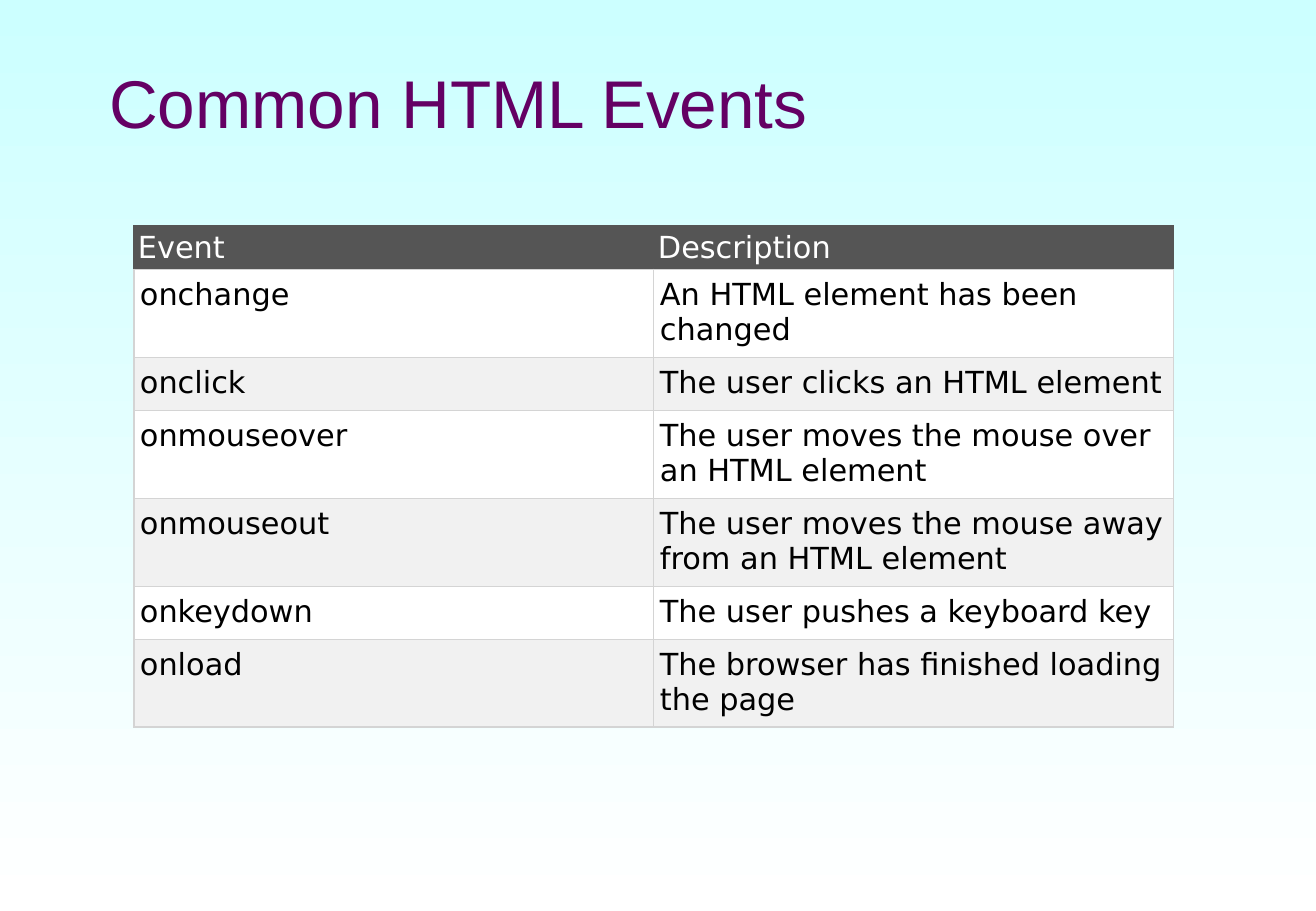
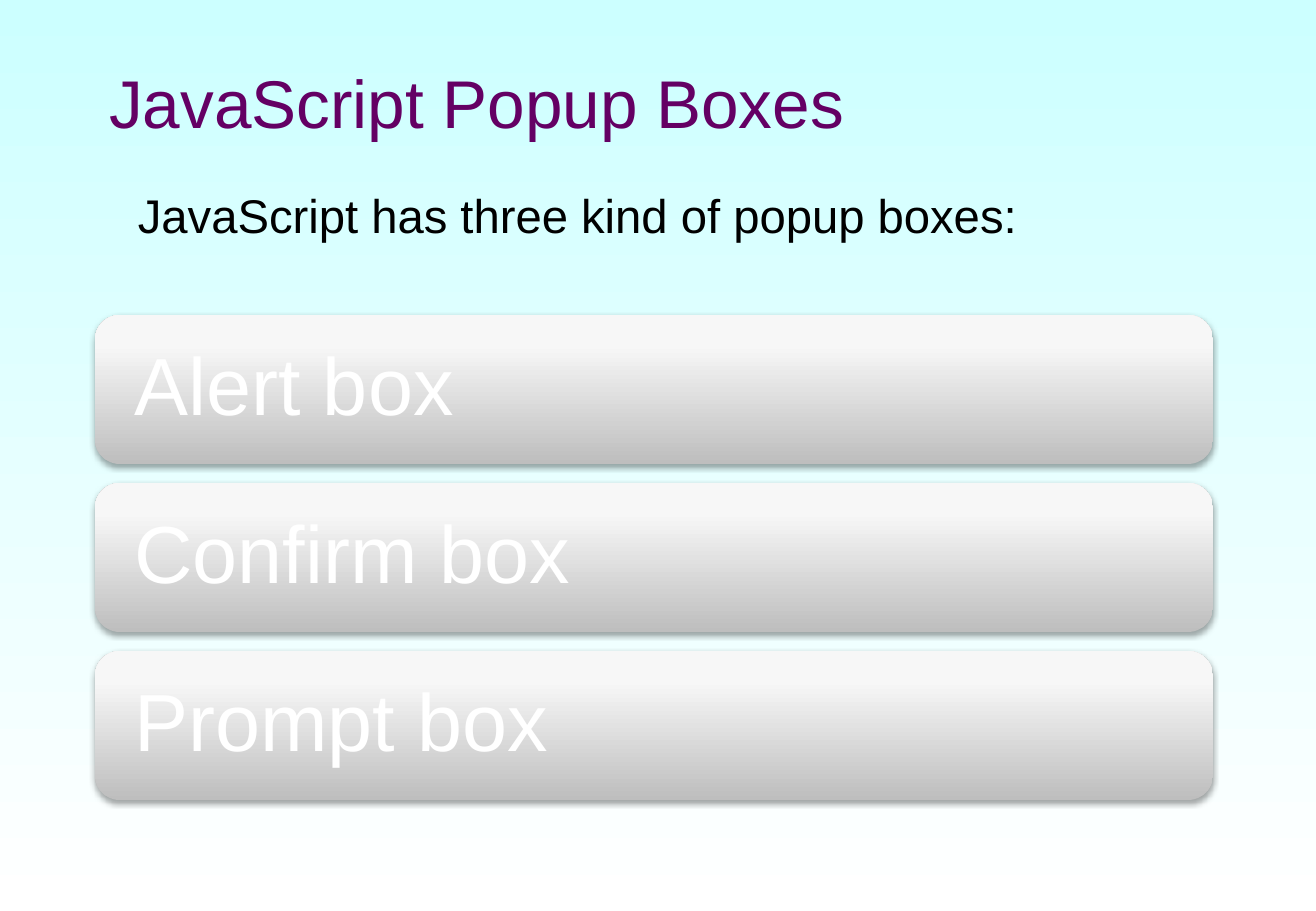
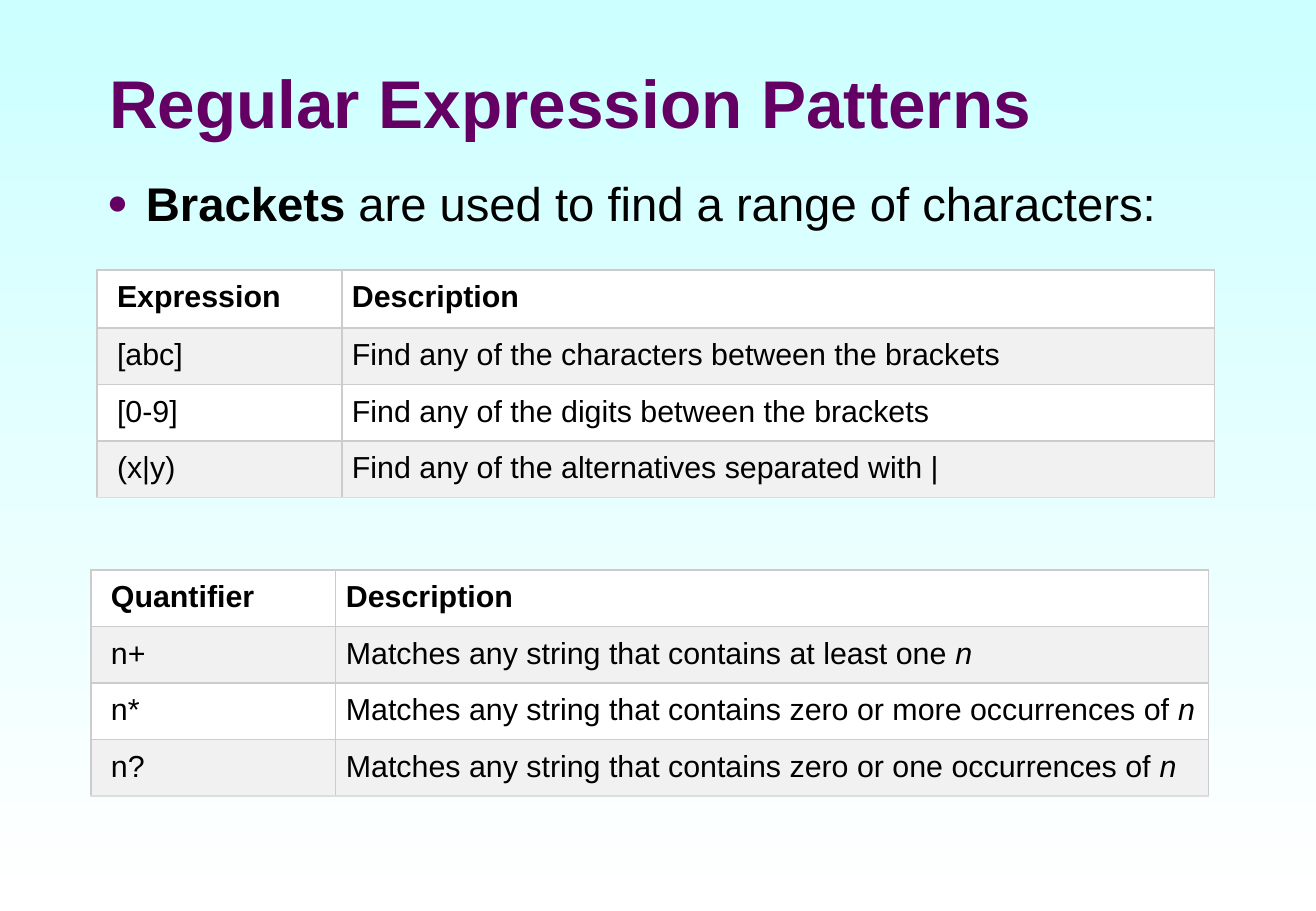
from copy import deepcopy
from dataclasses import dataclass

from lxml.etree import SubElement
from pptx import Presentation
from pptx.dml.color import RGBColor
from pptx.enum.shapes import MSO_SHAPE as SHAPE
from pptx.enum.text import MSO_ANCHOR as ANCHOR, MSO_AUTO_SIZE as FIT, PP_ALIGN as ALIGN
from pptx.oxml.ns import qn
from pptx.util import Pt

PX = 7526  # EMU per px, 121.5 px to the inch


@dataclass(frozen=True)
class Theme:
    font: str = "Arial"
    wide_font: str = "DejaVu Sans"
    title: str = "640064"
    text: str = "000000"
    white: str = "FFFFFF"
    band: str = "F1F1F1"
    header: str = "555555"
    sky: tuple = ((0, "CCFFFF"), (1, "FFFFFF"))
    silver: tuple = ((0, "BEBEBE"), (0.8, "F7F7F7"), (1, "F8F8F8"))
    title_size: Pt = Pt(40)
    box_size: Pt = Pt(48)
    lead_size: Pt = Pt(28)
    table_size: Pt = Pt(18)


T = Theme()


def gradient(fill, element, angle, stops):
    """Fill with (position, colour) stops; the angle runs counter-clockwise."""
    fill.gradient()
    fill.gradient_angle = angle
    gs_list = element.find(".//" + qn("a:gsLst"))
    while len(gs_list) < len(stops):
        gs_list.append(deepcopy(gs_list[0]))
    for stop, (position, color) in zip(fill.gradient_stops, stops):
        stop.position = position
        stop.color.rgb = RGBColor.from_string(color)


def write(p, text, color, **fmt):
    r = p.add_run()
    r.text = text
    r.font.color.rgb = RGBColor.from_string(color)
    for name, value in {"name": T.font, **fmt}.items():
        setattr(r.font, name, value)


prs = Presentation()
prs.slide_width, prs.slide_height = 1316 * PX, 911 * PX
master = prs.slide_master
gradient(master.background.fill, master.element, 270, T.sky)

# Slides and titles
slides = []
for title, bold in (
    ("Common HTML Events", False),
    ("JavaScript Popup Boxes", False),
    ("Regular Expression Patterns", True),
):
    s = prs.slides.add_slide(prs.slide_layouts[5])
    sp = s.shapes.title
    sp.left, sp.top, sp.width, sp.height = (v * PX for v in (97, 51, 1115, 100))
    tf = sp.text_frame
    tf.auto_size, tf.vertical_anchor = FIT.NONE, ANCHOR.MIDDLE
    p = tf.paragraphs[0]
    p.alignment = ALIGN.LEFT
    write(p, title, T.title, size=T.title_size, bold=bold)
    slides.append(s)
events, popups, patterns = slides

# Popup boxes
for i, label in enumerate(("Alert box", "Confirm box", "Prompt box")):
    sp = popups.shapes.add_shape(
        SHAPE.ROUNDED_RECTANGLE, 95 * PX, (315 + 168 * i) * PX, 1118 * PX, 149 * PX)
    gradient(sp.fill, sp.element, 90, T.silver)
    sp.line.fill.background()
    sp.shadow.inherit = False
    shadow = SubElement(sp.element.spPr.find(qn("a:effectLst")), qn("a:outerShdw"),
                        blurRad="40000", dist="23000", dir="5400000", rotWithShape="0")
    tint = SubElement(shadow, qn("a:srgbClr"), val=T.text)
    SubElement(tint, qn("a:alpha"), val="35000")
    tf = sp.text_frame
    tf.word_wrap, tf.vertical_anchor = True, ANCHOR.MIDDLE
    tf.margin_left = tf.margin_right = 32 * PX
    p = tf.paragraphs[0]
    p.alignment, p.line_spacing = ALIGN.LEFT, 0.9
    write(p, label, T.white, size=T.box_size)

# Lead lines
for s, box, bullet, runs in (
    (popups, (126, 180, 978, 69), False,
     [("JavaScript has three kind of popup boxes:", False)]),
    (patterns, (95, 168, 1118, 87), True,
     [("Brackets", True), (" are used to find a range of characters:", False)]),
):
    tf = s.shapes.add_textbox(*(v * PX for v in box)).text_frame
    tf.word_wrap = True
    p = tf.paragraphs[0]
    if bullet:
        pPr = p._p.get_or_add_pPr()
        pPr.set("marL", str(39 * PX))
        pPr.set("indent", str(-39 * PX))
        SubElement(SubElement(pPr, qn("a:buClr")), qn("a:srgbClr"), val=T.title)
        SubElement(pPr, qn("a:buSzPct"), val="75000")
        SubElement(pPr, qn("a:buFont"), typeface=T.font)
        SubElement(pPr, qn("a:buChar"), char="●")
    for text, bold in runs:
        write(p, text, T.text, size=T.lead_size, bold=bold)

# Tables: a cell is a text, or a text and its italic ending
event_rows = [
    ("Event", "Description"),
    ("onchange", "An HTML element has been changed"),
    ("onclick", "The user clicks an HTML element"),
    ("onmouseover", "The user moves the mouse over an HTML element"),
    ("onmouseout", "The user moves the mouse away from an HTML element"),
    ("onkeydown", "The user pushes a keyboard key"),
    ("onload", "The browser has finished loading the page"),
]
bracket_rows = [
    ("Expression", "Description"),
    ("[abc]", "Find any of the characters between the brackets"),
    ("[0-9]", "Find any of the digits between the brackets"),
    ("(x|y)", "Find any of the alternatives separated with |"),
]
quantifier_rows = [
    ("Quantifier", "Description"),
    ("n+", ("Matches any string that contains at least one ", "n")),
    ("n*", ("Matches any string that contains zero or more occurrences of ", "n")),
    ("n?", ("Matches any string that contains zero or one occurrences of ", "n")),
]

# Margins are left, right, top, bottom
event_style = dict(
    font=T.wide_font, border="D4D4D4", last_border="D4D4D4", bold_header=False,
    header_fill=T.header, header_text=T.white, header_border=T.header,
    header_margins=[(4, 4, 4, 4)] * 2, margins=[(6, 6, 8, 8)] * 2)
pattern_margins = [(20, 10, 10, 10), (10, 10, 10, 10)]
pattern_style = dict(
    font=T.font, border="CCCCCC", last_border="DDDDDD", bold_header=True,
    header_fill=T.white, header_text=T.text, header_border="CCCCCC",
    header_margins=pattern_margins, margins=pattern_margins)

for s, (left, top), widths, heights, rows, style in (
    (events, (134, 226), (520, 520), (43, 88, 53, 88, 88, 53, 88), event_rows, event_style),
    (patterns, (97, 270), (245, 873), (58, 55, 55, 55), bracket_rows, pattern_style),
    (patterns, (91, 570), (245, 873), (55, 55, 55, 55), quantifier_rows, pattern_style),
):
    table = s.shapes.add_table(len(rows), len(widths), left * PX, top * PX,
                               sum(widths) * PX, sum(heights) * PX).table
    table.first_row = table.horz_banding = False
    for column, width in zip(table.columns, widths):
        column.width = width * PX
    for i, (row, height) in enumerate(zip(rows, heights)):
        table.rows[i].height = height * PX
        header, last = i == 0, i == len(rows) - 1
        side = style["header_border"] if header else style["border"]
        top_edge = side if header else style["border"]
        bottom_edge = style["last_border"] if last else style["border"]
        fill = style["header_fill"] if header else (T.band, T.white)[i % 2]
        if style is pattern_style and not header:
            fill = (T.white, T.band)[i % 2]
        for j, content in enumerate(row):
            cell = table.cell(i, j)
            margins = style["header_margins" if header else "margins"][j]
            for name, value in zip(("left", "right", "top", "bottom"), margins):
                setattr(cell, "margin_" + name, value * PX)
            tcPr = cell._tc.get_or_add_tcPr()
            for edge, color in zip("LRTB", (side, side, top_edge, bottom_edge)):
                ln = SubElement(tcPr, qn("a:ln" + edge), w=str(Pt(0.75)))
                SubElement(SubElement(ln, qn("a:solidFill")), qn("a:srgbClr"), val=color)
            cell.fill.solid()
            cell.fill.fore_color.rgb = RGBColor.from_string(fill)
            text, ending = (content, "") if isinstance(content, str) else content
            color = style["header_text"] if header else T.text
            fmt = dict(name=style["font"], size=T.table_size,
                       bold=header and style["bold_header"])
            p = cell.text_frame.paragraphs[0]
            write(p, text, color, **fmt)
            if ending:
                write(p, ending, color, italic=True, **fmt)

prs.save("out.pptx")
